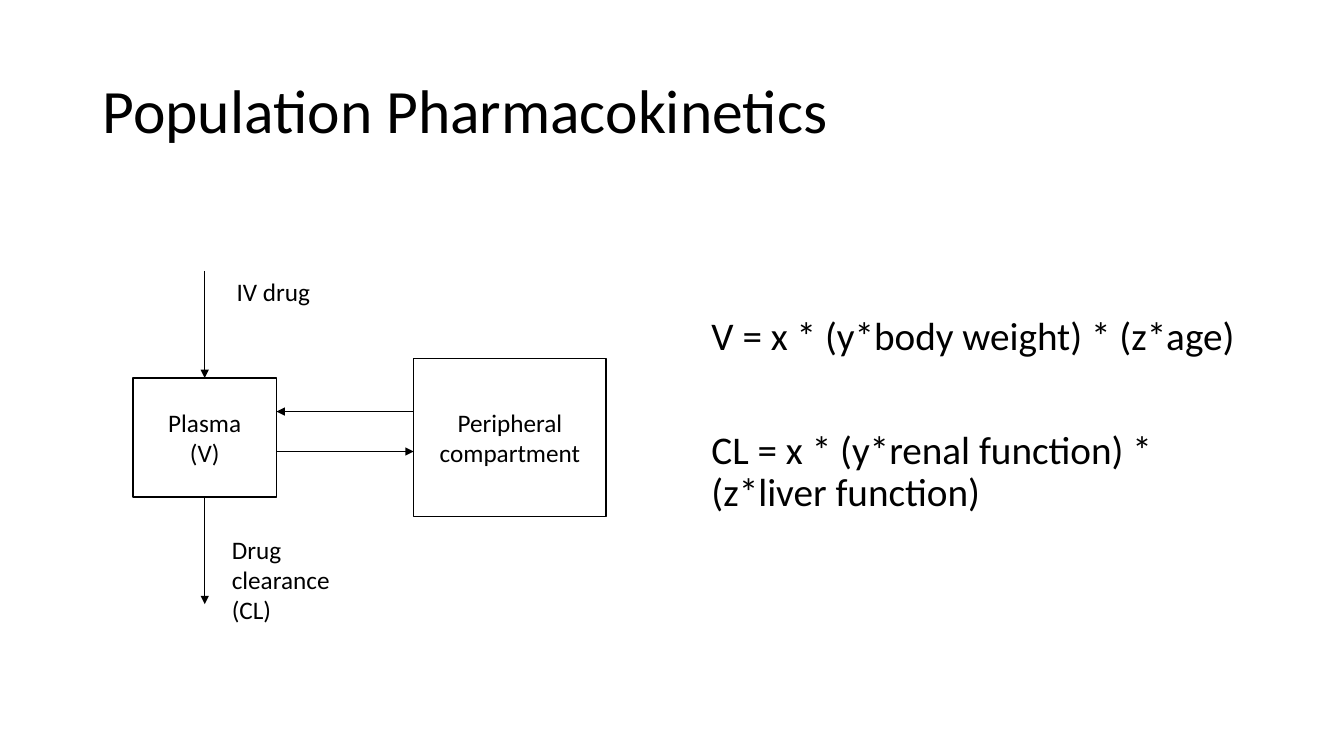
from lxml.etree import SubElement
from pptx import Presentation
from pptx.dml.color import RGBColor
from pptx.enum.shapes import MSO_CONNECTOR, MSO_SHAPE
from pptx.enum.text import MSO_ANCHOR, MSO_AUTO_SIZE, PP_ALIGN
from pptx.oxml.ns import qn
from pptx.util import Pt

COLORS = {"ink": "000000", "paper": "FFFFFF"}
FONT = "Calibri"
PLACEHOLDER_FRAME = {"word_wrap": True, "auto_size": MSO_AUTO_SIZE.NONE}
TITLE_PARAGRAPH = {"alignment": PP_ALIGN.LEFT, "line_spacing": 0.9}
LEFT_PARAGRAPH = {"alignment": PP_ALIGN.LEFT}
CENTER_PARAGRAPH = {"alignment": PP_ALIGN.CENTER}


def rgb(name):
    return RGBColor.from_string(COLORS[name])


def set_attributes(obj, values):
    for name, value in values.items():
        setattr(obj, name, value)


def place(sp, box):
    set_attributes(sp, dict(zip(("left", "top", "width", "height"), map(Pt, box))))


def write(sp, lines, size, paragraph, frame):
    tf = sp.text_frame
    set_attributes(tf, frame)
    for i, line in enumerate(lines):
        p = tf.paragraphs[0] if i == 0 else tf.add_paragraph()
        set_attributes(p, paragraph)
        r = p.add_run()
        r.text = line
        set_attributes(r.font, {"size": Pt(size), "name": FONT})
        r.font.color.rgb = rgb("ink")
    return tf


def add_compartment(s, box, lines):
    sp = s.shapes.add_shape(MSO_SHAPE.RECTANGLE, *map(Pt, box))
    sp.shadow.inherit = False
    sp.fill.solid()
    sp.fill.fore_color.rgb = rgb("paper")
    sp.line.color.rgb = rgb("ink")
    sp.line.width = Pt(1)
    write(sp, lines, 18, CENTER_PARAGRAPH,
          {"word_wrap": True, "vertical_anchor": MSO_ANCHOR.MIDDLE})
    return sp


def add_arrow(s, start, end):
    c = s.shapes.add_connector(MSO_CONNECTOR.STRAIGHT, *map(Pt, start + end))
    c.line.color.rgb = rgb("ink")
    c.line.width = Pt(0.5)
    SubElement(c.line._get_or_add_ln(), qn("a:tailEnd"), type="triangle")
    SubElement(c._element.spPr, qn("a:effectLst"))
    return c


def add_label(s, box, lines):
    sp = s.shapes.add_textbox(*map(Pt, box))
    write(sp, lines, 18, LEFT_PARAGRAPH,
          {"word_wrap": True, "auto_size": MSO_AUTO_SIZE.SHAPE_TO_FIT_TEXT})


def add_title(s, box):
    sp = s.shapes.title
    place(sp, box)
    write(sp, ["Population Pharmacokinetics"], 44, TITLE_PARAGRAPH,
          PLACEHOLDER_FRAME | {"vertical_anchor": MSO_ANCHOR.MIDDLE})


def add_equations(s, box):
    sp = s.placeholders[1]
    place(sp, box)
    equations = ["V = x * (y*body weight) * (z*age)",
                 "CL = x * (y*renal function) * (z*liver function)"]
    tf = write(sp, equations, 28, TITLE_PARAGRAPH,
               PLACEHOLDER_FRAME | {"vertical_anchor": MSO_ANCHOR.TOP})
    for p, gap in zip(tf.paragraphs, (10, 51)):
        p.space_before = Pt(gap)
        pPr = p._p.get_or_add_pPr()
        pPr.set("marL", "0")
        pPr.set("indent", "0")
        SubElement(pPr, qn("a:buNone"))


def add_compartment_model(s, box):
    x, y, w, h = box
    plasma_w, plasma_h = 102.5, 85
    outer_w, outer_h = 137.5, 113
    arrow_h = (h - plasma_h) / 2
    plasma_right, outer_left = x + plasma_w, x + w - outer_w
    mid_x, mid_y = x + plasma_w / 2, y + h / 2

    plasma = add_compartment(
        s, (x, y + arrow_h, plasma_w, plasma_h), ["Plasma", "(V)"])
    add_compartment(
        s, (outer_left, mid_y - outer_h / 2, outer_w, outer_h),
        ["Peripheral compartment"])

    dose = add_arrow(s, (mid_x, y), (mid_x, y + arrow_h))
    dose.end_connect(plasma, 0)
    clearance = add_arrow(s, (mid_x, y + h - arrow_h), (mid_x, y + h))
    clearance.begin_connect(plasma, 2)

    return_y, outflow_y = mid_y - 18.5, mid_y + 10
    add_arrow(s, (outer_left, return_y), (plasma_right, return_y))
    add_arrow(s, (plasma_right, outflow_y), (outer_left, outflow_y))

    add_label(s, (x + 67, y, 88, 29), ["IV drug"])
    add_label(s, (x + 63.5, y + 184.5, 88, 73), ["Drug clearance", "(CL)"])


def add_model_slide(prs):
    s = prs.slides.add_slide(prs.slide_layouts[1])
    add_title(s, (66, 29, 828, 104.5))
    add_equations(s, (501, 222.5, 392.5, 176.5))
    add_compartment_model(s, (95, 193.5, 338, 238))


def main():
    prs = Presentation()
    set_attributes(prs, {"slide_width": Pt(960), "slide_height": Pt(540)})
    add_model_slide(prs)
    prs.save("out.pptx")


if __name__ == "__main__":
    main()
